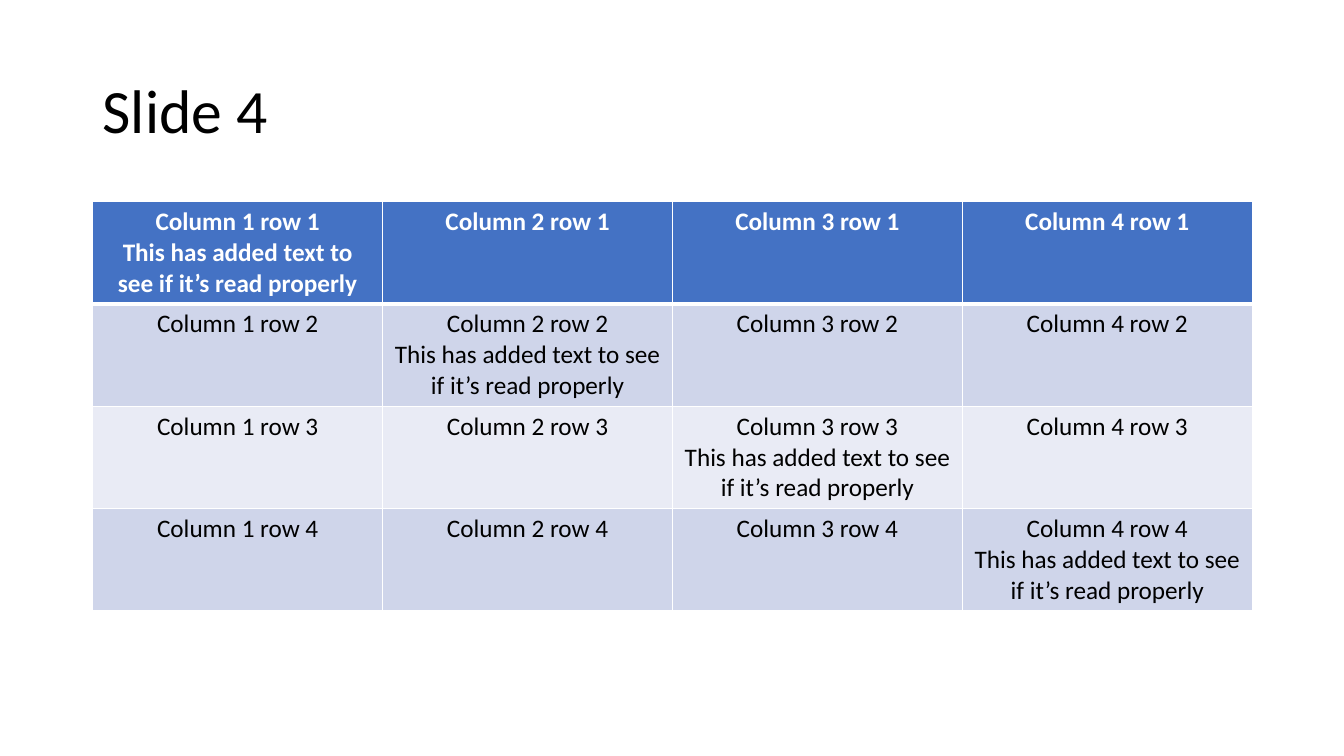
from lxml.etree import SubElement
from pptx import Presentation
from pptx.dml.color import RGBColor as RGB
from pptx.enum.text import MSO_ANCHOR as Anchor, PP_ALIGN as Align
from pptx.oxml.ns import qn
from pptx.util import Inches, Pt

COLORS = {"ink": "000000", "white": "FFFFFF", "header": "4472C4",
          "band_dark": "CFD5EA", "band_light": "E9EBF5"}
FONT = "Calibri"
SIDE = 4
ADDED = "This has added text to see if it’s read properly"


def add_run(p, text, size, color, bold=False):
    """Add one formatted run to a paragraph."""
    r = p.add_run()
    r.text = text
    r.font.name, r.font.size, r.font.bold = FONT, Pt(size), bold
    r.font.color.rgb = RGB.from_string(COLORS[color])


def add_title(s, box, text):
    """Place the slide title, centred vertically in its box."""
    tf = s.shapes.add_textbox(*map(Inches, box)).text_frame
    tf.word_wrap = True
    tf.vertical_anchor = Anchor.MIDDLE
    p = tf.paragraphs[0]
    p.line_spacing = 0.9
    add_run(p, text, 44, "ink")


def set_borders(cell, widths):
    """Draw white cell borders with the given widths in points."""
    tc_pr = cell._tc.get_or_add_tcPr()
    for side, width in widths.items():
        ln = SubElement(tc_pr, qn(f"a:ln{side}"), w=str(Pt(width)))
        fill = SubElement(ln, qn("a:solidFill"))
        SubElement(fill, qn("a:srgbClr"), val=COLORS["white"])


def fill_cell(cell, row, col):
    """Write and format the cell at a one-based row and column."""
    header = row == 1
    band = "header" if header else "band_light" if row % 2 else "band_dark"
    set_borders(cell, {"L": 1, "R": 1, "T": 3 if row == 2 else 1,
                       "B": 3 if header else 1})
    cell.fill.solid()
    cell.fill.fore_color.rgb = RGB.from_string(COLORS[band])
    lines = [f"Column {col} row {row}"] + ([ADDED] if row == col else [])
    tf = cell.text_frame
    for i, line in enumerate(lines):
        p = tf.add_paragraph() if i else tf.paragraphs[0]
        p.alignment = Align.CENTER
        add_run(p, line, 18, "white" if header else "ink", header)


def add_grid(s, box):
    """Place the square table with added text along its diagonal."""
    table = s.shapes.add_table(SIDE, SIDE, *map(Inches, box)).table
    for row in range(SIDE):
        for col in range(SIDE):
            fill_cell(table.cell(row, col), row + 1, col + 1)


def main():
    """Build the slide and save it."""
    prs = Presentation()
    prs.slide_width, prs.slide_height = Inches(13.33), Inches(7.5)
    s = prs.slides.add_slide(prs.slide_layouts[6])
    left, width = 0.92, 11.5
    add_title(s, (left, 0.4, width, 1.45), "Slide 4")
    add_grid(s, (left, 2, width, 4.06))
    prs.save("out.pptx")


if __name__ == "__main__":
    main()
